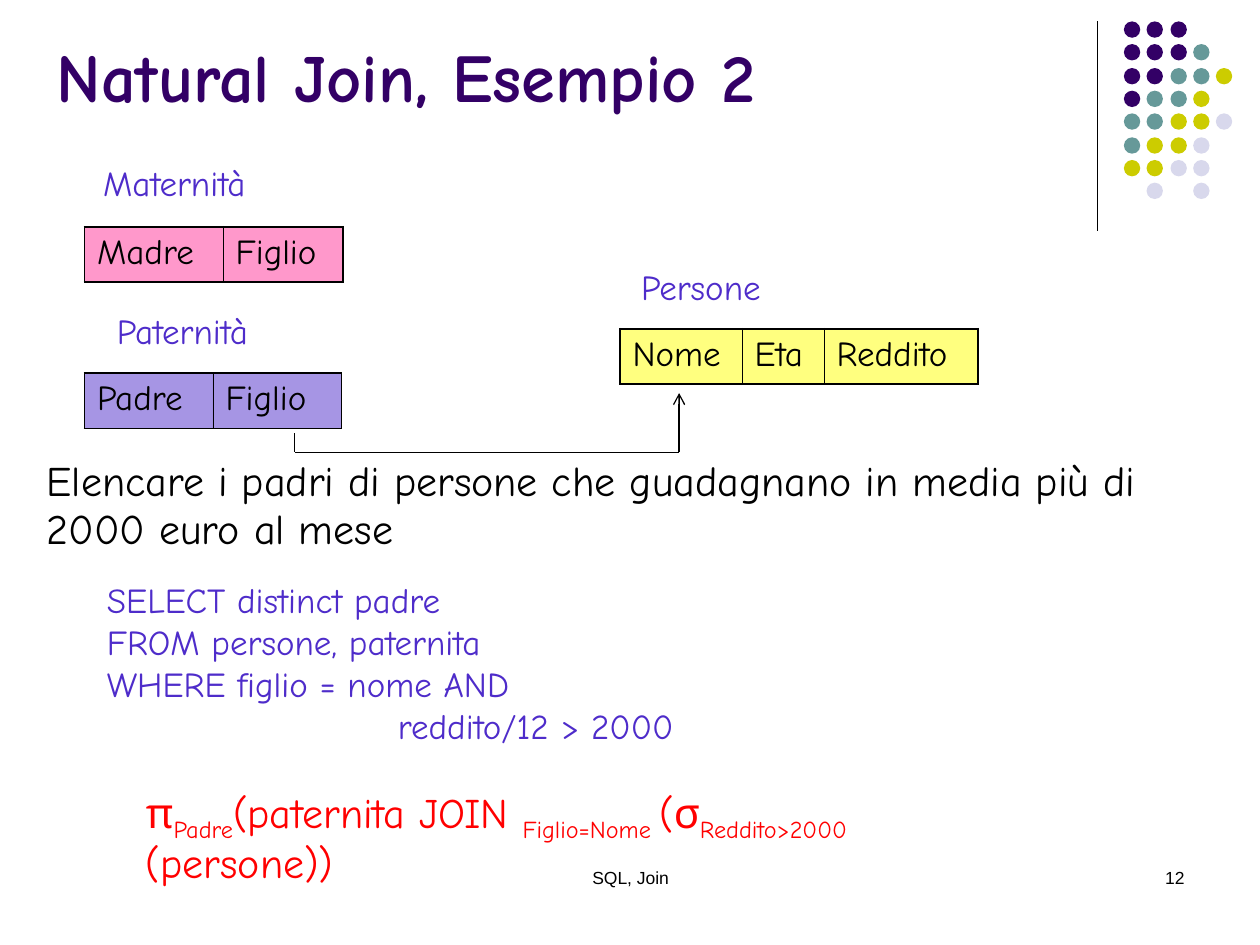
from lxml import etree
from pptx import Presentation
from pptx import util as u
from pptx.dml.color import RGBColor
from pptx.enum import shapes, text
from pptx.oxml.ns import qn

PX = 9144
FONT = "Comic Neue"
COLOURS = {
    "black": "000000", "indigo": "330066", "teal": "669999", "olive": "CCCC00",
    "mist": "D8D8EC", "violet": "4E2CCA", "pink": "FF3399", "yellow": "FFFF00",
    "red": "FF0000",
}
DOT_COLOURS = {"i": "indigo", "t": "teal", "o": "olive", "m": "mist"}
DOT_ROWS = ["iii", "iiit", "iitto", "itto", "ttoom", "toom", "oomm", " m m"]


def px(*lengths):
    return [u.Emu(length * PX) for length in lengths]


def colour(name):
    return RGBColor.from_string(COLOURS[name])


def add_span(para, words, size, shade="black", face=FONT, bold=False, baseline=0):
    span = para.add_run()
    span.text = words
    span.font.size = u.Pt(size)
    span.font.name = face
    span.font.bold = bold
    span.font.color.rgb = colour(shade)
    if baseline:
        span.font._element.set("baseline", str(baseline * 1000))


def add_box(page, box, align=text.PP_ALIGN.LEFT):
    frame = page.shapes.add_textbox(*px(*box)).text_frame
    frame.word_wrap = True
    frame.paragraphs[0].alignment = align
    return frame


def add_text(page, box, words, size=20, shade="violet", face=FONT, align=text.PP_ALIGN.LEFT):
    frame = add_box(page, box, align)
    add_span(frame.paragraphs[0], words, size, shade, face)


def fill_placeholder(holder, box, words, size, shade, bold, anchor):
    holder.left, holder.top, holder.width, holder.height = px(*box)
    frame = holder.text_frame
    frame.auto_size = text.MSO_AUTO_SIZE.NONE
    frame.word_wrap = True
    frame.vertical_anchor = anchor
    para = frame.paragraphs[0]
    para.alignment = text.PP_ALIGN.LEFT
    para.space_before = u.Pt(0)
    properties = para._p.get_or_add_pPr()
    properties.set("marL", "0")
    properties.set("indent", "0")
    etree.SubElement(properties, qn("a:buNone"))
    add_span(para, words, size, shade, bold=bold)
    return para


def add_line(page, start, end, arrow=False):
    line = page.shapes.add_connector(shapes.MSO_CONNECTOR.STRAIGHT, *px(*start, *end))
    line.line.color.rgb = colour("black")
    line.line.width = u.Pt(0.75)
    if arrow:
        etree.SubElement(line.line._get_or_add_ln(), qn("a:tailEnd"), type="arrow")
    etree.SubElement(line._element.spPr, qn("a:effectLst"))


def add_ornament(page, left, top):
    add_line(page, (left, top), (left, top + 166))
    pitch, size = 18.3, 13
    for row, marks in enumerate(DOT_ROWS):
        for column, mark in enumerate(marks):
            if mark == " ":
                continue
            place = (left + 21 + round(column * pitch), top + round(row * pitch), size, size)
            dot = page.shapes.add_shape(shapes.MSO_SHAPE.OVAL, *px(*place))
            dot.shadow.inherit = False
            dot.fill.solid()
            dot.fill.fore_color.rgb = colour(DOT_COLOURS[mark])
            dot.line.fill.background()


def style_cell(cell, shade, first, last):
    properties = cell._tc.get_or_add_tcPr()
    widths = {"L": 1.08 if first else 0.45, "R": 1.08 if last else 0.45, "T": 1.08, "B": 1.08}
    for side, width in widths.items():
        border = etree.SubElement(properties, qn("a:ln" + side), w=str(u.Pt(width)))
        paint = etree.SubElement(border, qn("a:solidFill"))
        etree.SubElement(paint, qn("a:srgbClr"), val=COLOURS["black"])
    cell.fill.solid()
    cell.fill.fore_color.rgb = colour(shade)
    tint = properties.find(qn("a:solidFill")).find(qn("a:srgbClr"))
    etree.SubElement(tint, qn("a:alpha"), val="50000")


def add_relation(page, left, top, label, label_box, columns, shade):
    height = 44
    widths = [width for name, width in columns]
    add_text(page, label_box, label)
    grid = page.shapes.add_table(1, len(columns), *px(left, top, sum(widths), height)).table
    grid.first_row = grid.horz_banding = False
    for index, (name, width) in enumerate(columns):
        grid.columns[index].width = px(width)[0]
        cell = grid.cell(0, index)
        cell.margin_left = cell.margin_right = px(10)[0]
        cell.margin_top = cell.margin_bottom = px(5)[0]
        add_span(cell.text_frame.paragraphs[0], name, 20)
        style_cell(cell, shade, index == 0, index == len(columns) - 1)


def add_join_arrow(page, start, level, end):
    corners = [start, (start[0], level), (end[0], level), end]
    for begin, finish in zip(corners, corners[1:]):
        add_line(page, begin, finish, arrow=finish == end)


def add_query(page, box):
    frame = add_box(page, box)
    lines = [("SELECT distinct padre", 0), ("FROM persone, paternita", 0),
             ("WHERE figlio = nome AND", 0), ("reddito/12 > 2000", 231)]
    for index, (words, indent) in enumerate(lines):
        para = frame.add_paragraph() if index else frame.paragraphs[0]
        para._p.get_or_add_pPr().set("marL", str(indent * PX))
        add_span(para, words, 20, "violet")


def add_algebra(page, box):
    para = add_box(page, box).paragraphs[0]
    para.line_spacing = 0.95
    parts = [("π", 0), ("Padre", -25), ("(paternita JOIN ", 0), ("Figlio=Nome ", -25),
             ("(σ", 0), ("Reddito>2000", -25), (" (persone))", 0)]
    for words, baseline in parts:
        add_span(para, words, 24, "red", baseline=baseline)


def main():
    deck = Presentation()
    deck.slide_width, deck.slide_height = px(1000, 750)
    page = deck.slides.add_slide(deck.slide_layouts[1])
    title, body = page.placeholders

    add_ornament(page, 871, 17)
    fill_placeholder(title, (35, -19, 825, 116), "Natural Join, Esempio 2", 39, "indigo",
                     True, text.MSO_ANCHOR.BOTTOM)
    task = fill_placeholder(
        body, (27, 359, 947, 110),
        "Elencare i padri di persone che guadagnano in media più di 2000 euro al mese",
        24, "black", False, text.MSO_ANCHOR.TOP)
    task.line_spacing = 0.95

    add_relation(page, 67, 180, "Maternità", (72, 123, 146, 44),
                 [("Madre", 110), ("Figlio", 95)], "pink")
    add_relation(page, 67, 296, "Paternità", (83, 241, 130, 44),
                 [("Padre", 102), ("Figlio", 102)], "violet")
    add_relation(page, 492, 261, "Persone", (499, 206, 120, 44),
                 [("Nome", 97), ("Eta", 65), ("Reddito", 122)], "yellow")
    add_join_arrow(page, (234, 344), 359, (539, 312))

    add_query(page, (75, 454, 480, 144))
    add_algebra(page, (106, 619, 730, 51))
    add_text(page, (342, 683, 317, 50), "SQL, Join", 10, "black", "Arial", text.PP_ALIGN.CENTER)
    add_text(page, (717, 683, 233, 50), "12", 10, "black", "Arial", text.PP_ALIGN.RIGHT)
    deck.save("out.pptx")


if __name__ == "__main__":
    main()
